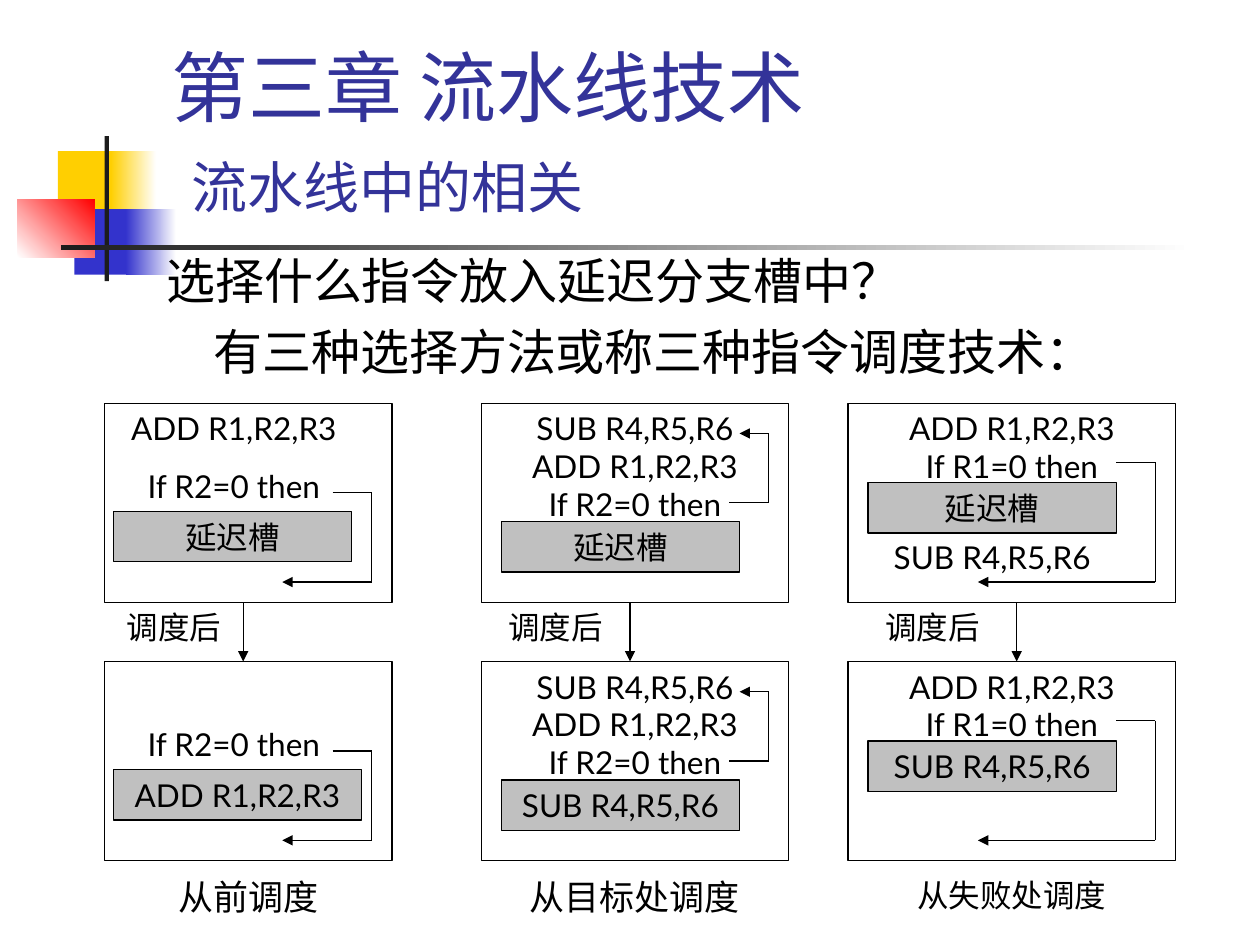
from lxml.etree import SubElement
from pptx import Presentation
from pptx.dml.color import RGBColor
from pptx.enum.shapes import MSO_CONNECTOR as CONN, MSO_SHAPE as SHAPE
from pptx.enum.text import MSO_ANCHOR as ANCHOR, MSO_AUTO_SIZE as AUTO, PP_ALIGN as ALIGN
from pptx.oxml.ns import qn
from pptx.util import Pt

FONT, CJK = "Lato", "Noto Sans CJK SC"
BLACK, GREY, INDIGO = "000000", "C0C0C0", "333399"
ROWS, PANEL_H = (230.4, 378), 113.8
SLOT_H, GAP = 28.8, 11.2

# One entry per scheduling method; inner positions are relative to the panel.
# Each text block is (left, top, width, space between lines, lines).
COLUMNS = [
    dict(x=59.8, w=164.2, fill=None, arrow_x=139, caption="从前调度", size=20,
         path=[(130.3, 51.1), (152.6, 51.1), (152.6, 102.2), (101.5, 102.2)],
         slots=[(5, 61.9, 136.1, "延迟槽"), (5, 61.9, 141.8, "ADD R1,R2,R3")],
         texts=[[(0, 0, 147.6, GAP, ["ADD R1,R2,R3", "If R2=0 then"])],
                [(0, 32.8, 147.6, GAP, ["If R2=0 then"])]]),
    dict(x=275, w=175.7, fill="FFFFFF", arrow_x=360, caption="从目标处调度", size=20,
         path=[(141.8, 56.9), (164.2, 56.9), (164.2, 17.3), (147.6, 17.3)],
         slots=[(11.5, 67.7, 136.1, "延迟槽"), (11.5, 67.7, 136.1, "SUB R4,R5,R6")],
         texts=[[(0, 0, 175.7, 0, ["SUB R4,R5,R6", "ADD R1,R2,R3", "If R2=0 then"])]] * 2),
    dict(x=484.6, w=187.2, fill="FFFFFF", arrow_x=581, caption="从失败处调度", size=18,
         path=[(153.4, 33.8), (175.7, 33.8), (175.7, 102.2), (74.2, 102.2)],
         slots=[(11.5, 45.4, 141.8, "延迟槽"), (11.5, 45.4, 141.8, "SUB R4,R5,R6")],
         texts=[[(0, 0, 187.2, 0, ["ADD R1,R2,R3", "If R1=0 then"]),
                 (11.5, 73.4, 141.8, 0, ["SUB R4,R5,R6"])],
                [(0, 0, 187.2, 0, ["ADD R1,R2,R3", "If R1=0 then"])]]),
]


def rgb(hex_str):
    return RGBColor.from_string(hex_str)


def add_run(p, text, size, color=BLACK, font=FONT):
    r = p.add_run()
    r.text = text
    r.font.size = Pt(size)
    r.font.name = font
    r.font.color.rgb = rgb(color)
    SubElement(r._r.get_or_add_rPr(), qn("a:ea")).set("typeface", font)


def write_lines(tf, lines, size=18, gap=0):
    tf.word_wrap = True
    tf.auto_size = AUTO.NONE
    tf.vertical_anchor = ANCHOR.TOP
    for i, line in enumerate(lines):
        p = tf.add_paragraph() if i else tf.paragraphs[0]
        p.alignment = ALIGN.CENTER
        if i:
            p.space_before = Pt(gap)
        add_run(p, line, size)


def add_text(shapes, x, y, w, lines, size=18, gap=0):
    height = 7.2 + len(lines) * size * 1.2 + (len(lines) - 1) * gap
    sp = shapes.add_textbox(Pt(x), Pt(y), Pt(w), Pt(height))
    write_lines(sp.text_frame, lines, size, gap)


def add_rect(shapes, x, y, w, h, fill=None, line=None):
    sp = shapes.add_shape(SHAPE.RECTANGLE, Pt(x), Pt(y), Pt(w), Pt(h))
    sp.shadow.inherit = False
    if fill:
        sp.fill.solid()
        sp.fill.fore_color.rgb = rgb(fill)
    else:
        sp.fill.background()
    if line:
        sp.line.color.rgb = rgb(line)
        sp.line.width = Pt(0.75)
    else:
        sp.line.fill.background()
    return sp


def add_gradient(shapes, x, y, w, h, start, end, angle=0):
    sp = add_rect(shapes, x, y, w, h)
    sp.fill.gradient()
    sp.fill.gradient_angle = angle
    for stop, color, pos in zip(sp.fill.gradient_stops, (start, end), (0, 1)):
        stop.color.rgb = rgb(color)
        stop.position = pos


def add_line(shapes, start, end, arrow=False):
    cx = shapes.add_connector(CONN.STRAIGHT, *(Pt(v) for v in (*start, *end)))
    cx.line.color.rgb = rgb(BLACK)
    cx.line.width = Pt(0.75)
    if arrow:
        SubElement(cx.line._get_or_add_ln(), qn("a:tailEnd")).set("type", "triangle")
    SubElement(cx._element.spPr, qn("a:effectLst"))


def add_decoration(shapes):
    add_rect(shapes, 33.1, 86.4, 34.6, 37.4, "FFCF01")
    add_gradient(shapes, 63.4, 86.4, 25.9, 37.4, "FFCF01", "FFFFFF")
    add_rect(shapes, 42.5, 119.5, 33.1, 37.4, "3333CC")
    add_gradient(shapes, 72, 119.5, 28.8, 37.4, "3333CC", "FFFFFF")
    add_gradient(shapes, 10.1, 113.8, 43.9, 33.1, "FFFFFF", "FF0000", 45)
    add_rect(shapes, 59.8, 77.8, 2.5, 82.8, "1C1C1C")
    add_gradient(shapes, 34.6, 140.2, 648, 2.5, "1C1C1C", "FFFFFF")


def place(sp, x, y, w, h, anchor):
    sp.left, sp.top, sp.width, sp.height = Pt(x), Pt(y), Pt(w), Pt(h)
    tf = sp.text_frame
    tf.word_wrap = True
    tf.auto_size = AUTO.NONE
    tf.vertical_anchor = anchor
    return tf


def fill_title(sp):
    p = place(sp, 90.7, 16.6, 613.4, 115.2, ANCHOR.BOTTOM).paragraphs[0]
    p.alignment = ALIGN.LEFT
    add_run(p, "第三章 流水线技术", 44, INDIGO, CJK)
    p.add_line_break()
    add_run(p, " ", 44, INDIGO)
    add_run(p, "流水线中的相关", 32, INDIGO)


def fill_body(sp):
    tf = place(sp, 87.8, 139.7, 612, 82.8, ANCHOR.TOP)
    lines = ["选择什么指令放入延迟分支槽中？", "有三种选择方法或称三种指令调度技术："]
    for i, line in enumerate(lines):
        p = tf.add_paragraph() if i else tf.paragraphs[0]
        pPr = p._p.get_or_add_pPr()
        pPr.set("marL", str(Pt(27 * i)))
        pPr.set("indent", "0")
        SubElement(pPr, qn("a:buNone"))
        p.space_before = Pt(7 * i)
        add_run(p, line, 28)


def add_panel(slide, col, row):
    shapes = slide.shapes.add_group_shape().shapes
    x, y = col["x"], ROWS[row]
    add_rect(shapes, x, y, col["w"], PANEL_H, col["fill"], BLACK)
    for dx, dy, w, gap, lines in col["texts"][row]:
        add_text(shapes, x + dx, y + dy, w, lines, gap=gap)
    # Delay slot
    dx, dy, w, label = col["slots"][row]
    slot = add_rect(shapes, x + dx, y + dy, w, SLOT_H, GREY, BLACK)
    write_lines(slot.text_frame, [label])
    # Branch path, ending in an arrow
    points = [(x + px, y + py) for px, py in col["path"]]
    for i, (start, end) in enumerate(zip(points, points[1:])):
        add_line(shapes, start, end, arrow=i == 2)


def add_column(slide, col):
    for row in range(len(ROWS)):
        add_panel(slide, col, row)
    # Step from the upper panel to the lower one, and the caption
    x, ax, top = col["x"], col["arrow_x"], ROWS[0] + PANEL_H
    add_line(slide.shapes, (ax, top), (ax, ROWS[1]), arrow=True)
    add_text(slide.shapes, x, top - 0.5, ax - x, ["调度后"])
    add_text(slide.shapes, x, 496.8, col["w"], [col["caption"]], col["size"])


def main():
    prs = Presentation()
    prs.slide_width, prs.slide_height = Pt(720), Pt(540)
    slide = prs.slides.add_slide(prs.slide_layouts[1])
    title, body = slide.placeholders
    add_decoration(slide.shapes)
    # Bring the placeholders in front of the decoration
    for sp in (title, body):
        slide.shapes._spTree.append(sp._element)
    fill_title(title)
    fill_body(body)
    for col in COLUMNS:
        add_column(slide, col)
    prs.save("out.pptx")


if __name__ == "__main__":
    main()
